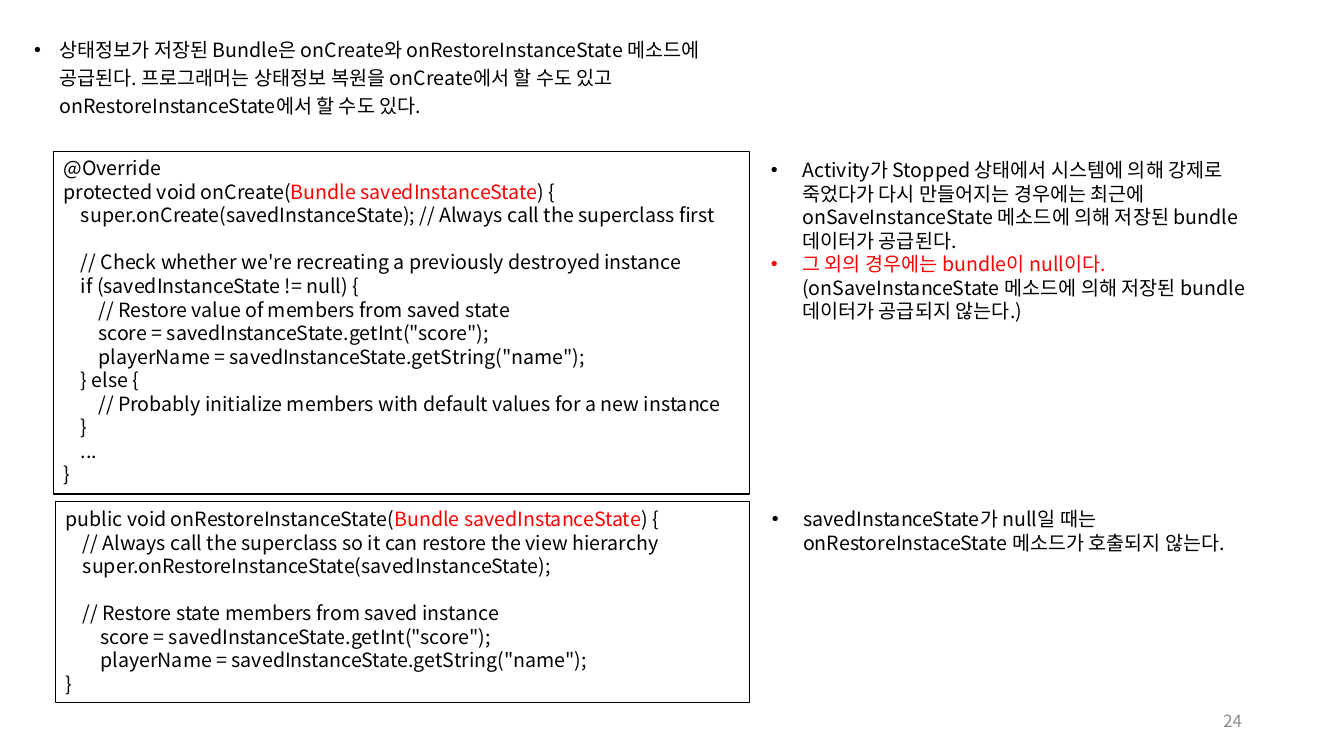
from pptx import Presentation
from pptx.dml.color import RGBColor
from pptx.enum.shapes import MSO_SHAPE
from pptx.enum.text import MSO_ANCHOR, PP_ALIGN
from pptx.oxml.ns import qn
from pptx.util import Cm, Pt
from lxml import etree

RECT = MSO_SHAPE.RECTANGLE
TOP, MIDDLE = MSO_ANCHOR.TOP, MSO_ANCHOR.MIDDLE
LEFT, RIGHT = PP_ALIGN.LEFT, PP_ALIGN.RIGHT
FONT = "Noto Sans CJK KR"
BLACK, RED, GREY = "000000", "FF0000", "8C8C8C"
STEP = 0.44  # code indent per level, cm
GAP = 16.9   # one code line, pt

INTRO = ("상태정보가 저장된 Bundle은 onCreate와 onRestoreInstanceState 메소드에 공급된다. "
         "프로그래머는 상태정보 복원을 onCreate에서 할 수도 있고 "
         "onRestoreInstanceState에서 할 수도 있다.")
PARAM = "Bundle savedInstanceState"
# Each code line: indent level, text; an empty text opens a gap before the next line.
CREATE = [
    (0, "@Override"),
    (0, f"protected void onCreate({PARAM}) {{"),
    (1, "super.onCreate(savedInstanceState); // Always call the superclass first"),
    (0, ""),
    (1, "// Check whether we're recreating a previously destroyed instance"),
    (1, "if (savedInstanceState != null) {"),
    (2, "// Restore value of members from saved state"),
    (2, 'score = savedInstanceState.getInt("score");'),
    (2, 'playerName = savedInstanceState.getString("name");'),
    (1, "} else {"),
    (2, "// Probably initialize members with default values for a new instance"),
    (1, "}"),
    (1, "..."),
    (0, "}"),
]
RESTORE = [
    (0, f"public void onRestoreInstanceState({PARAM}) {{"),
    (1, "// Always call the superclass so it can restore the view hierarchy"),
    (1, "super.onRestoreInstanceState(savedInstanceState);"),
    (0, ""),
    (1, "// Restore state members from saved instance"),
    (2, 'score = savedInstanceState.getInt("score");'),
    (2, 'playerName = savedInstanceState.getString("name");'),
    (0, "}"),
]
NULL = "그 외의 경우에는 bundle이 null이다. "
CASES = [
    "Activity가 Stopped 상태에서 시스템에 의해 강제로 죽었다가 다시 만들어지는 경우에는 "
    "최근에 onSaveInstanceState 메소드에 의해 저장된 bundle 데이터가 공급된다.",
    NULL + "(onSaveInstanceState 메소드에 의해 저장된 bundle 데이터가 공급되지 않는다.)",
]
CALL = ["savedInstanceState가 null일 때는 onRestoreInstaceState 메소드가 호출되지 않는다."]


def paint(code):
    return RGBColor.from_string(code)


def write(para, text, mark=None, color=BLACK, size=14):
    """Fill a paragraph, with the phrase mark in red."""
    parts = [text]
    if mark and mark in text:
        head, tail = text.split(mark)
        parts = [head, mark, tail]
    for part in filter(None, parts):
        run = para.add_run()
        run.text = part
        run.font.size = Pt(size)
        run.font.name = FONT
        run.font.color.rgb = paint(RED if part == mark else color)
        etree.SubElement(run._r.rPr, qn("a:ea"), typeface=FONT)


def indent(para, left, hang=0):
    props = para._p.get_or_add_pPr()
    props.set("marL", str(Cm(left)))
    props.set("indent", str(-Cm(hang)))
    return props


def lines(frame, count):
    """Return count paragraphs of the frame."""
    for _ in range(count - 1):
        frame.add_paragraph()
    return frame.paragraphs


def text_box(slide, box):
    frame = slide.shapes.add_textbox(*map(Cm, box)).text_frame
    frame.word_wrap = True
    return frame


def add_list(slide, box, items, hang, mark=None, space=None):
    frame = text_box(slide, box)
    for para, item in zip(lines(frame, len(items)), items):
        props = indent(para, hang, hang)
        if space:
            para.line_spacing = space
        etree.SubElement(props, qn("a:buFont"), typeface="Arial")
        etree.SubElement(props, qn("a:buChar"), char="•")
        write(para, item, mark)


def add_code(slide, box, code):
    shape = slide.shapes.add_shape(RECT, *map(Cm, box))
    shape.shadow.inherit = False
    shape.fill.background()
    shape.line.color.rgb = paint(BLACK)
    shape.line.width = Pt(0.75)
    frame = shape.text_frame
    frame.word_wrap = True
    frame.vertical_anchor = TOP
    shown = [(level, text, i > 0 and not code[i - 1][1])
             for i, (level, text) in enumerate(code) if text]
    for para, (level, text, gap) in zip(lines(frame, len(shown)), shown):
        para.alignment = LEFT
        indent(para, level * STEP)
        if gap:
            para.space_before = Pt(GAP)
        write(para, text, PARAM)


def add_number(slide, box, number):
    frame = text_box(slide, box)
    frame.vertical_anchor = MIDDLE
    para = frame.paragraphs[0]
    para.alignment = RIGHT
    write(para, number, color=GREY, size=12)


def main():
    deck = Presentation()
    deck.slide_width, deck.slide_height = Cm(33.87), Cm(19.05)
    slide = deck.slides.add_slide(deck.slide_layouts[6])
    add_list(slide, (0.61, 0.71, 18.26, 2.84), [INTRO], 0.64, space=1.2)
    add_code(slide, (1.35, 3.81, 17.55, 8.64), CREATE)
    add_code(slide, (1.4, 12.65, 17.48, 5.05), RESTORE)
    add_list(slide, (19.18, 3.86, 13.79, 4.45), CASES, 0.79, NULL)
    add_list(slide, (19.2, 12.65, 13.36, 1.45), CALL, 0.79)
    add_number(slide, (23.93, 17.65, 7.62, 1.02), "24")
    deck.save("out.pptx")


if __name__ == "__main__":
    main()
